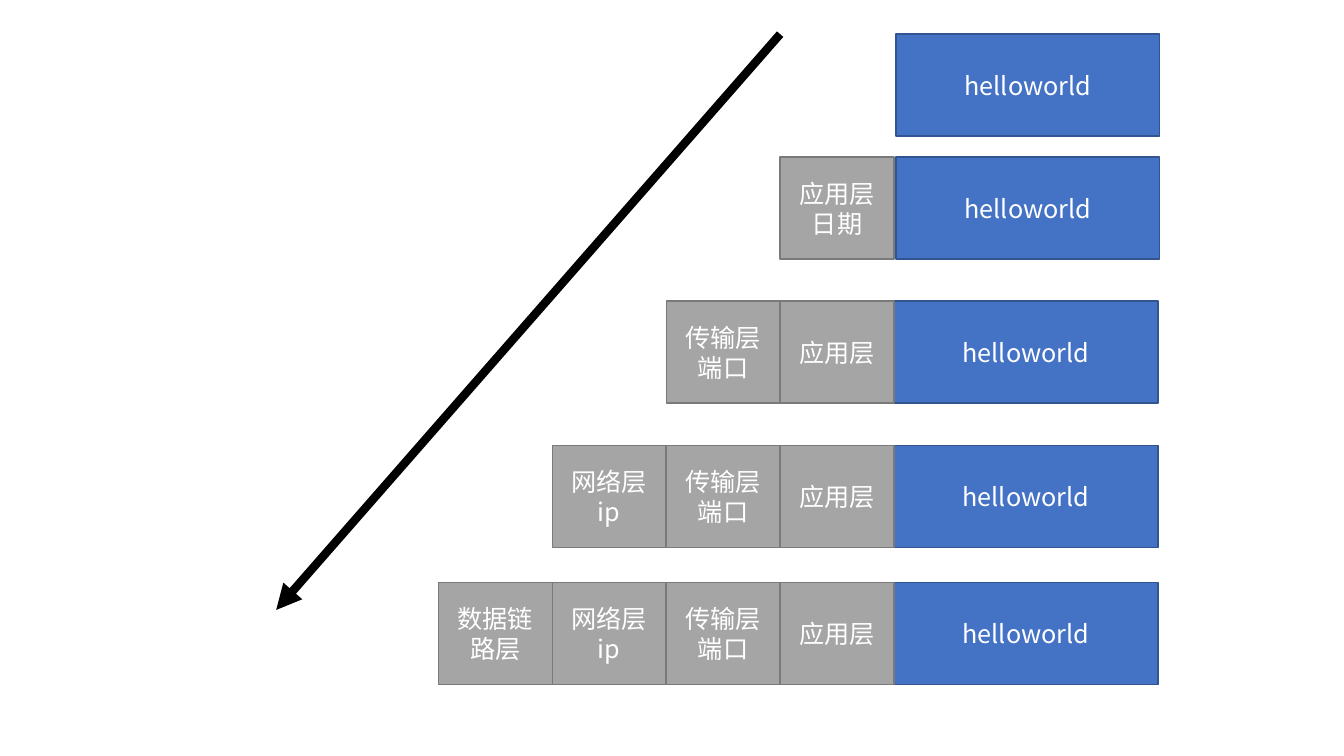
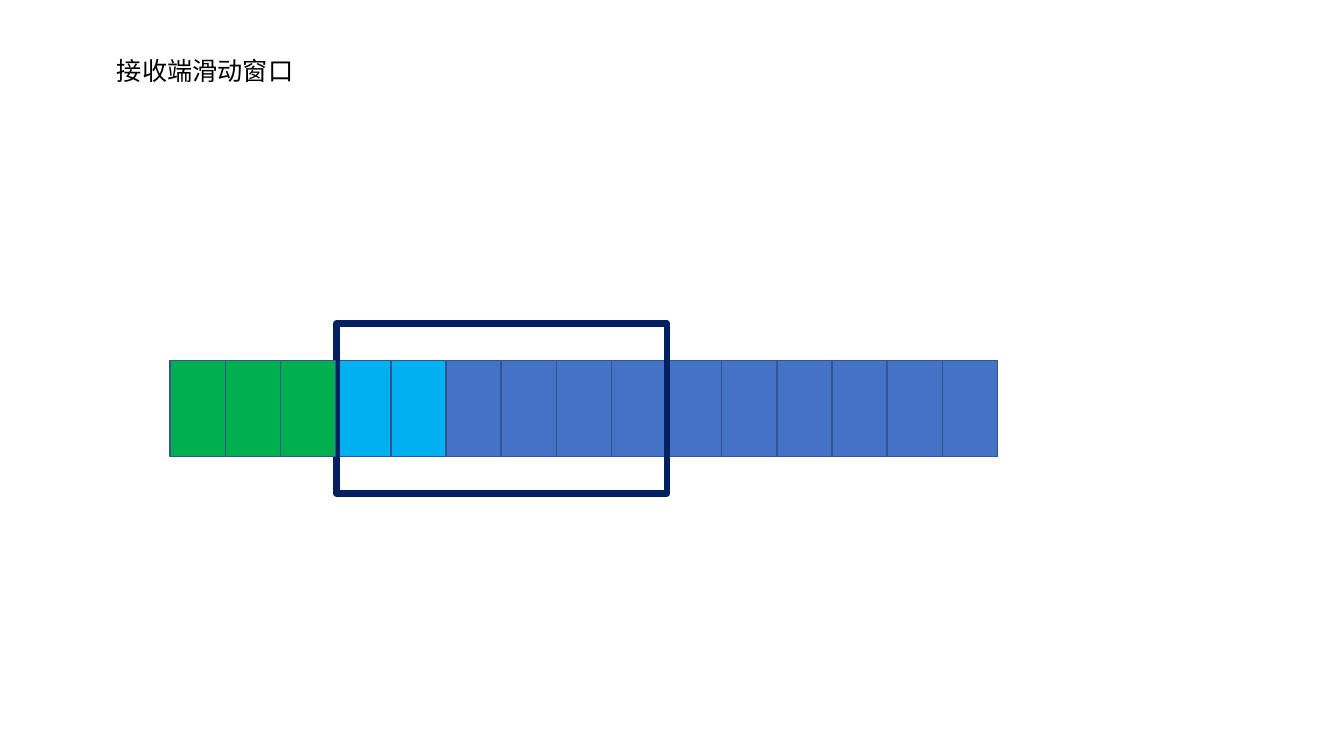
"""Builds two slides: packet encapsulation by layer and a receiver's sliding window."""
from lxml.etree import SubElement
from pptx import Presentation
from pptx.dml.color import RGBColor
from pptx.enum.shapes import MSO_CONNECTOR as CONNECTOR, MSO_SHAPE as SHAPE
from pptx.enum.text import MSO_ANCHOR as ANCHOR, PP_ALIGN as ALIGN
from pptx.oxml.ns import qn
from pptx.util import Cm, Pt

FONT = "Noto Sans CJK SC"
WHITE = RGBColor(0xFF, 0xFF, 0xFF)
BLACK = RGBColor(0x00, 0x00, 0x00)
BLUE = RGBColor(0x44, 0x72, 0xC4)
BLUE_EDGE = RGBColor(0x32, 0x54, 0x91)
GRAY = RGBColor(0xA5, 0xA5, 0xA5)
GRAY_EDGE = RGBColor(0x7A, 0x7A, 0x7A)
GREEN = RGBColor(0x00, 0xB0, 0x50)
CYAN = RGBColor(0x00, 0xB0, 0xF0)
NAVY = RGBColor(0x00, 0x20, 0x60)

TITLE_ONLY, BLANK = 5, 6

DATA_LEFT, DATA_WIDTH = 22.53, 6.65
HEADER_WIDTH, ROW_HEIGHT = 2.87, 2.57
TRANSPORT, NETWORK = "传输层\n端口", "网络层\nip"
ROWS = [
    (0.86, 22.58, []),
    (3.96, 22.58, ["应用层\n日期"]),
    (7.59, DATA_LEFT, ["应用层", TRANSPORT]),
    (11.23, DATA_LEFT, ["应用层", TRANSPORT, NETWORK]),
    (14.68, DATA_LEFT, ["应用层", TRANSPORT, NETWORK, "数据链路层"]),
]

CELL_LEFT, CELL_TOP, CELL_WIDTH, CELL_HEIGHT = 4.29, 9.09, 1.39, 2.41
RECEIVED, BUFFERED, WAITING = 3, 2, 10


def set_text(tf, text, color, align):
    """Fill a text frame, with one style for all paragraphs."""
    tf.word_wrap = True
    tf.vertical_anchor = ANCHOR.MIDDLE
    tf.text = text
    for p in tf.paragraphs:
        p.alignment = align
        p.font.name = FONT
        p.font.size = Pt(18)
        p.font.color.rgb = color
        SubElement(p._p.pPr.find(qn("a:defRPr")), qn("a:ea"), typeface=FONT)


def add_box(s, left, top, width, height, fill, edge, text="", weight=1):
    """Add a rectangle; a fill of None leaves it open."""
    sp = s.shapes.add_shape(SHAPE.RECTANGLE, Cm(left), Cm(top), Cm(width), Cm(height))
    sp.shadow.inherit = False
    if fill is None:
        sp.fill.background()
    else:
        sp.fill.solid()
        sp.fill.fore_color.rgb = fill
    sp.line.color.rgb = edge
    sp.line.width = Pt(weight)
    if text:
        set_text(sp.text_frame, text, WHITE, ALIGN.CENTER)


def add_arrow(s, x1, y1, x2, y2):
    """Add a thick black arrow."""
    line = s.shapes.add_connector(CONNECTOR.STRAIGHT, Cm(x1), Cm(y1), Cm(x2), Cm(y2))
    line.line.color.rgb = BLACK
    line.line.width = Pt(6)
    SubElement(line.line._get_or_add_ln(), qn("a:tailEnd"), type="triangle")
    SubElement(line._element.spPr, qn("a:effectLst"))


def add_packet(s, top, data_left, headers):
    """Add the payload and its headers, which stack up leftwards."""
    add_box(s, data_left, top, DATA_WIDTH, ROW_HEIGHT, BLUE, BLUE_EDGE, "helloworld")
    for i, header in enumerate(headers, 1):
        left = DATA_LEFT - i * HEADER_WIDTH
        add_box(s, left, top, HEADER_WIDTH, ROW_HEIGHT, GRAY, GRAY_EDGE, header)


def add_cell(s, index, fill):
    """Add one cell of the byte stream."""
    left = CELL_LEFT + index * CELL_WIDTH
    add_box(s, left, CELL_TOP, CELL_WIDTH, CELL_HEIGHT, fill, BLUE_EDGE)


def set_title(s, text):
    """Place and style the slide title."""
    title = s.shapes.title
    title.left, title.top, title.width, title.height = Cm(2.69), Cm(1.27), Cm(6.48), Cm(1.02)
    set_text(title.text_frame, text, BLACK, ALIGN.LEFT)


def build_encapsulation(prs):
    """Show each layer adding its header to the payload."""
    s = prs.slides.add_slide(prs.slide_layouts[BLANK])
    for top, data_left, headers in ROWS:
        add_packet(s, top, data_left, headers)
    add_arrow(s, 19.66, 0.86, 6.96, 15.37)


def build_sliding_window(prs):
    """Show the receive window; the last received cell overlaps its frame."""
    s = prs.slides.add_slide(prs.slide_layouts[TITLE_ONLY])
    set_title(s, "接收端滑动窗口")
    fills = [GREEN] * RECEIVED + [CYAN] * BUFFERED + [BLUE] * WAITING
    last_received = RECEIVED - 1
    for i, fill in enumerate(fills):
        if i != last_received:
            add_cell(s, i, fill)
    add_box(s, 8.48, 8.15, 8.33, 4.29, None, NAVY, weight=4.5)
    add_cell(s, last_received, GREEN)


def main():
    """Build and save the presentation."""
    prs = Presentation()
    prs.slide_width, prs.slide_height = Cm(33.87), Cm(19.05)
    build_encapsulation(prs)
    build_sliding_window(prs)
    prs.save("out.pptx")


main()
